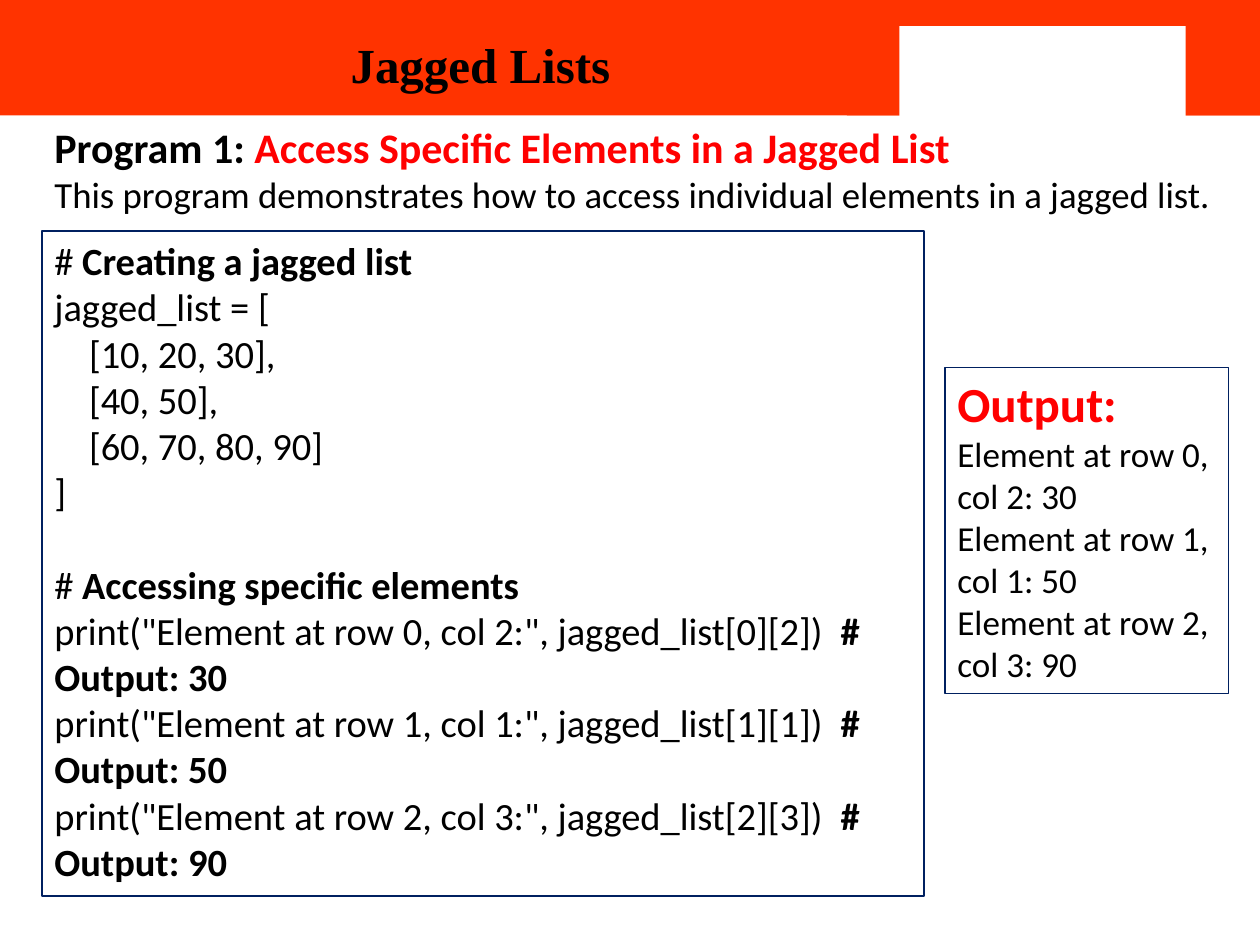
import pptx
import pptx.dml.color
import pptx.enum.shapes
import pptx.enum.text
import pptx.util

Pt = pptx.util.Pt
BLACK, RED, ORANGE, NAVY, WHITE = "000000", "FF0000", "FF3300", "002060", "FFFFFF"


def color(value):
    return pptx.dml.color.RGBColor.from_string(value)


class SlideBuilder:
    """Holds the text style and the current slide; lengths are in points."""

    font_name = "Calibri"
    insets = {"margin_left": 7.2, "margin_top": 3.6,
              "margin_right": 7.2, "margin_bottom": 3.6}

    def __init__(self, page):
        self.page = page

    def set_frame(self, frame, **insets):
        for name, value in {**self.insets, **insets}.items():
            setattr(frame, name, Pt(value))
        formats = {"word_wrap": True,
                   "auto_size": pptx.enum.text.MSO_AUTO_SIZE.NONE,
                   "vertical_anchor": pptx.enum.text.MSO_ANCHOR.TOP}
        for name, value in formats.items():
            setattr(frame, name, value)

    def fill_text(self, frame, paragraphs, align=pptx.enum.text.PP_ALIGN.LEFT,
                  font_name=None):
        """Each paragraph is (size, space before, [(text, bold, color), ...])."""
        for index, (size, space_before, spans) in enumerate(paragraphs):
            para = frame.add_paragraph() if index else frame.paragraphs[0]
            para.alignment = align
            if space_before:
                para.space_before = Pt(space_before)
            for text, bold, ink in spans:
                span = para.add_run()
                span.text = text
                formats = {"name": font_name or self.font_name,
                           "size": Pt(size), "bold": bold}
                for name, value in formats.items():
                    setattr(span.font, name, value)
                span.font.color.rgb = color(ink)

    def title(self, bounds, text):
        box = self.page.shapes.title
        for name, value in zip(("left", "top", "width", "height"), bounds):
            setattr(box, name, Pt(value))
        self.set_frame(box.text_frame, margin_left=9, margin_top=1,
                       margin_right=0, margin_bottom=0)
        self.fill_text(box.text_frame, [(28, 0, [(text, True, BLACK)])],
                       pptx.enum.text.PP_ALIGN.CENTER, "Times New Roman")
        # Bring the title in front of the header bands
        box.element.getparent().append(box.element)

    def rectangle(self, bounds, fill=None, line=None):
        box = self.page.shapes.add_shape(
            pptx.enum.shapes.MSO_SHAPE.RECTANGLE, *map(Pt, bounds))
        box.shadow.inherit = False
        if fill:
            box.fill.solid()
            box.fill.fore_color.rgb = color(fill)
        else:
            box.fill.background()
        if line:
            box.line.color.rgb = color(line)
            box.line.width = Pt(0.75)
        else:
            box.line.fill.background()
        return box

    def panel(self, bounds, paragraphs):
        box = self.rectangle(bounds, line=NAVY)
        self.set_frame(box.text_frame)
        self.fill_text(box.text_frame, paragraphs)

    def text(self, bounds, paragraphs):
        box = self.page.shapes.add_textbox(*map(Pt, bounds))
        self.set_frame(box.text_frame)
        self.fill_text(box.text_frame, paragraphs)


def comment(text, space_before=0):
    return 22, space_before, [("# ", False, BLACK), (text, True, BLACK)]


def plain(text, size):
    return size, 0, [(text, False, BLACK)]


def main():
    deck = pptx.Presentation()
    deck.slide_width, deck.slide_height = Pt(720), Pt(540)
    builder = SlideBuilder(deck.slides.add_slide(deck.slide_layouts[5]))

    builder.rectangle((0, 0, 720, 66), ORANGE)
    builder.rectangle((484, 0, 236, 66), ORANGE)
    builder.rectangle((514, 15, 163.5, 54), WHITE)
    builder.title((24, 18.5, 492, 35.5), "Jagged Lists")

    builder.text((24, 66, 678, 62), [
        (24, 0, [("Program 1: ", True, BLACK),
                 ("Access Specific Elements in a Jagged List", True, RED)]),
        plain("This program demonstrates how to access individual elements "
              "in a jagged list.", 21),
    ])

    list_lines = ["jagged_list = [", "    [10, 20, 30],", "    [40, 50],",
                  "    [60, 70, 80, 90]", "]"]
    lookups = [(0, 2, 30), (1, 1, 50), (2, 3, 90)]
    prints = [
        (22, 0, [(f'print("Element at row {row}, col {col}:", '
                  f'jagged_list[{row}][{col}])  ', False, BLACK),
                 (f"# Output: {value}", True, BLACK)])
        for row, col, value in lookups
    ]
    builder.panel((24, 132, 504, 380), [
        comment("Creating a jagged list"),
        *[plain(line, 22) for line in list_lines],
        comment("Accessing specific elements", space_before=26.5),
        *prints,
    ])

    builder.panel((540, 210, 162, 186.5), [
        (28, 0, [("Output:", True, RED)]),
        *[plain(f"Element at row {row}, col {col}: {value}", 20)
          for row, col, value in lookups],
    ])

    deck.save("out.pptx")


if __name__ == "__main__":
    main()
